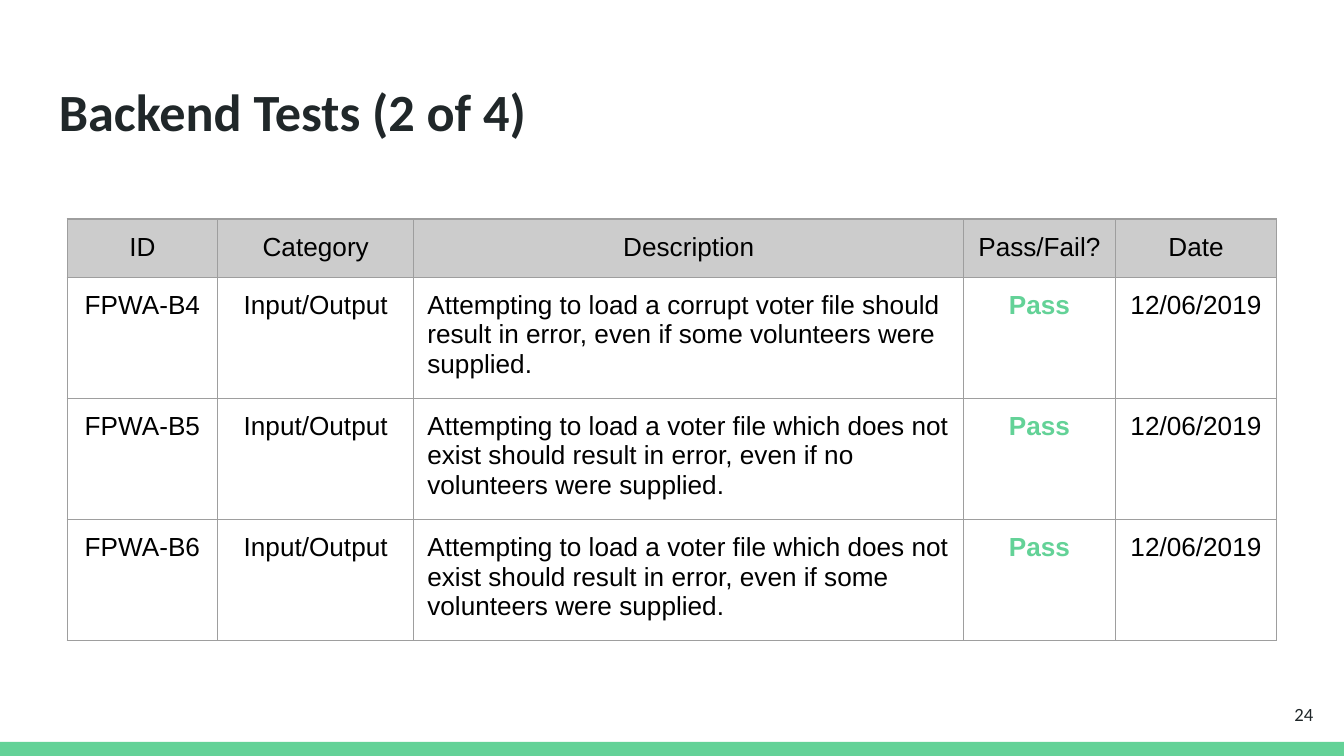
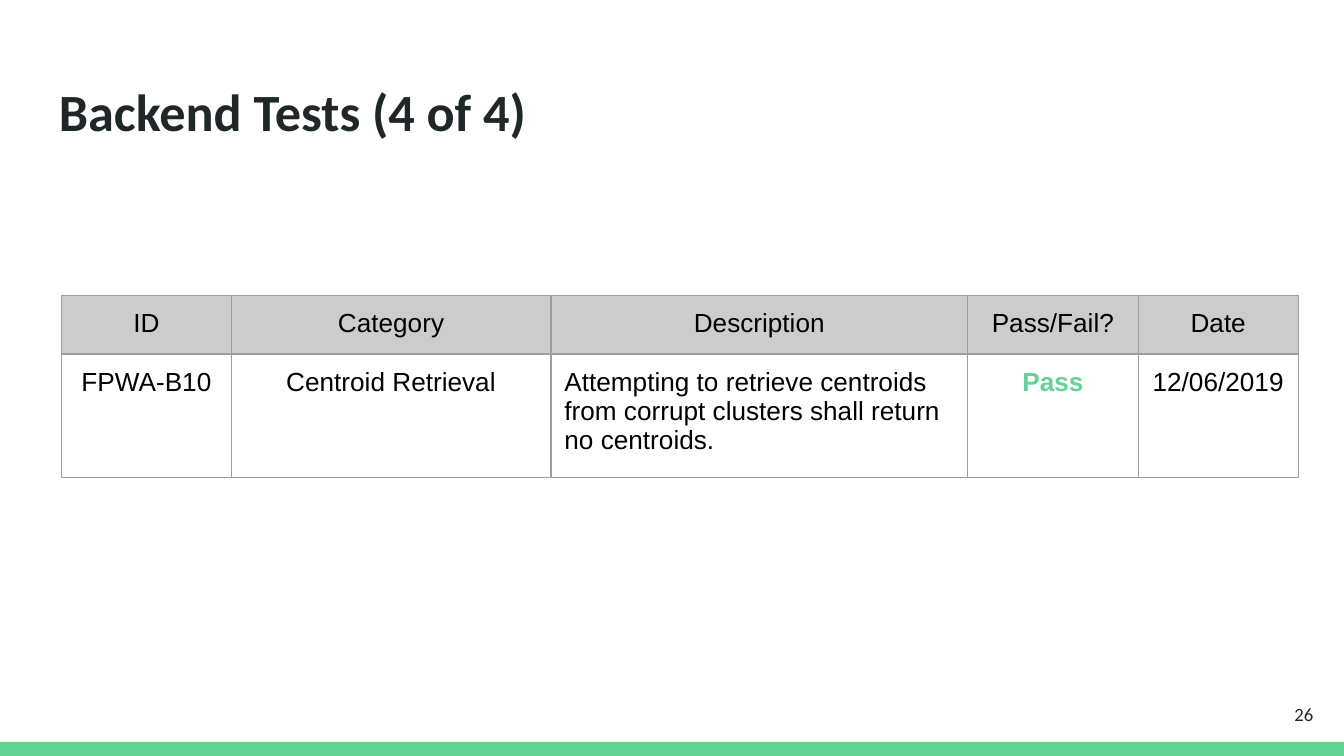
from pptx import Presentation
from pptx.dml.color import RGBColor
from pptx.enum.shapes import MSO_SHAPE as Shape
from pptx.enum.text import MSO_ANCHOR as Anchor, PP_ALIGN as Align
from pptx.oxml import parse_xml
from pptx.oxml.ns import nsdecls
from pptx.util import Inches, Pt

GREEN, INK, BLACK = "63D297", "202729", "000000"
GREY, LINE = "CCCCCC", "9E9E9E"
HEAD = ["ID", "Category", "Description", "Pass/Fail?", "Date"]
DATE = "12/06/2019"


def color(code):
    return RGBColor.from_string(code)


def write(frame, text, size, face, tint, bold=False, align=Align.LEFT):
    frame.word_wrap = True
    frame.margin_left = frame.margin_right = Inches(0.1)
    frame.margin_top = frame.margin_bottom = Inches(0.1)
    par = frame.paragraphs[0]
    par.alignment = align
    run = par.add_run()
    run.text = text
    font = run.font
    font.size, font.name, font.bold = Pt(size), face, bold
    font.color.rgb = color(tint)


# Each slide: part, page number, table corner, column widths, row heights, tests
pages = [
    (2, 24, (0.5, 1.63), [1.12, 1.46, 4.09, 1.13, 1.2], [0.41] + [0.76] * 3, [
        ("FPWA-B4", "Input/Output",
         "Attempting to load a corrupt voter file should result in error, "
         "even if some volunteers were supplied."),
        ("FPWA-B5", "Input/Output",
         "Attempting to load a voter file which does not exist should result in error, "
         "even if no volunteers were supplied."),
        ("FPWA-B6", "Input/Output",
         "Attempting to load a voter file which does not exist should result in error, "
         "even if some volunteers were supplied."),
    ]),
    (4, 26, (0.46, 2.2), [1.26, 2.38, 3.1, 1.27, 1.19], [0.43, 0.92], [
        ("FPWA-B10", "Centroid Retrieval",
         "Attempting to retrieve centroids from corrupt clusters shall return no centroids."),
    ]),
]

# Widescreen, 16 to 9
deck = Presentation()
deck.slide_width, deck.slide_height = Inches(10), Inches(10 * 9 / 16)

for part, number, (left, top), widths, heights, tests in pages:
    slide = deck.slides.add_slide(deck.slide_layouts[6])
    shapes = slide.shapes

    # Bottom band
    band = shapes.add_shape(Shape.RECTANGLE, 0, Inches(5.52), Inches(10), Inches(0.11))
    band.shadow.inherit = False
    band.fill.solid()
    band.fill.fore_color.rgb = color(GREEN)
    band.line.fill.background()

    # Title
    title = shapes.add_textbox(Inches(0.34), Inches(0.49), Inches(9.32), Inches(0.63))
    write(title.text_frame, f"Backend Tests ({part} of 4)", 28, "Calibri", INK, True)

    # Test table
    rows = [HEAD] + [[*test, "Pass", DATE] for test in tests]
    side = Inches(3.28)
    holder = shapes.add_table(len(rows), len(HEAD), Inches(left), Inches(top), side, side)
    table = holder.table
    table.first_row = table.horz_banding = False
    for col, width in zip(table.columns, widths):
        col.width = Inches(width)
    for row, height in zip(table.rows, heights):
        row.height = Inches(height)
    # Row and column sizes alter the frame, so set it again
    holder.width = holder.height = side

    for r, row in enumerate(rows):
        for c, text in enumerate(row):
            cell = table.cell(r, c)
            passed = text == "Pass"
            align = Align.LEFT if r and c == 2 else Align.CENTER
            write(cell.text_frame, text, 14, "Arial", GREEN if passed else BLACK, passed, align)
            cell.margin_left = cell.margin_right = Inches(0.1)
            cell.margin_top = cell.margin_bottom = Inches(0.1)

            # Borders come before the fill
            props = cell._tc.get_or_add_tcPr()
            for edge in "LRTB":
                props.append(parse_xml(
                    f'<a:ln{edge} {nsdecls("a")} w="{Pt(0.75)}"><a:solidFill>'
                    f'<a:srgbClr val="{LINE}"/></a:solidFill></a:ln{edge}>'))
            if r == 0:
                cell.fill.solid()
                cell.fill.fore_color.rgb = color(GREY)
            else:
                cell.fill.background()

    # Page number
    page = shapes.add_textbox(Inches(9.27), Inches(5.1), Inches(0.6), Inches(0.43))
    page.text_frame.vertical_anchor = Anchor.MIDDLE
    write(page.text_frame, str(number), 10, "Calibri", INK, align=Align.RIGHT)

deck.save("out.pptx")
